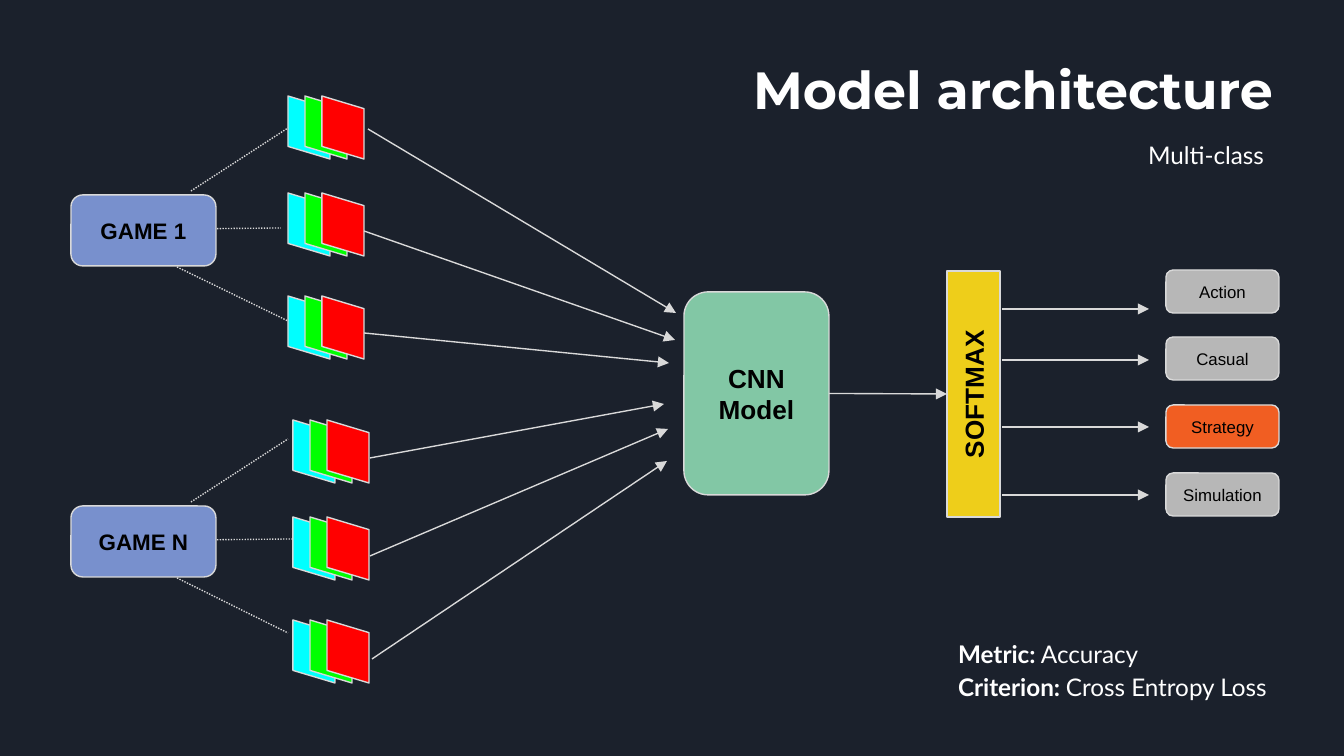
from lxml import etree
from pptx import Presentation
from pptx.dml.color import RGBColor
from pptx.enum.dml import MSO_LINE
from pptx.enum.shapes import MSO_CONNECTOR, MSO_SHAPE
from pptx.enum.text import MSO_ANCHOR, PP_ALIGN
from pptx.oxml.ns import qn
from pptx.util import Inches, Pt

EMU_PER_PX = 914400 / 134.4

COLORS = {
    "background": "1B212C", "line": "D9D9D9", "dark": "000000", "light": "FFFFFF",
    "cyan": "00FFFF", "green": "00FF00", "red": "FF0000", "game": "7890CD",
    "cnn": "82C7A5", "softmax": "EECE1A", "class": "B7B7B7", "chosen": "F15E22",
}

# Each game: label, box top, left of its frames, tops of its frames, dotted lines
GAMES = [
    ("GAME 1", 195, 288, (96, 193, 296),
     [(191, 191, 288, 128), (177, 267, 288, 321), (184, 229, 281, 228)]),
    ("GAME N", 506, 293, (420, 517, 620),
     [(191, 502, 288, 439), (177, 578, 288, 633), (195, 540, 292, 539)]),
]
FRAME_COLORS = ("cyan", "green", "red")
FRAME_STEP, FRAME_WIDTH, FRAME_HEIGHT = 17, 42, 63

FRAME_ARROWS = [
    (368, 129, 676, 313), (364, 231, 675, 340), (364, 333, 669, 363),
    (370, 458, 664, 404), (372, 659, 667, 461), (370, 556, 668, 429),
]
CNN_BOX = (684, 292, 145, 203)
SOFTMAX_BOX = (947, 271, 53, 246)

CLASSES = [("Action", "class"), ("Casual", "class"),
           ("Strategy", "chosen"), ("Simulation", "class")]
CLASS_TOP, CLASS_SPAN = 270, 203
CLASS_ARROW_YS = (309, 360, 427, 495)

# Each text box: box, alignment, lines of (text, bold), font, size, line spacing
TEXTS = [
    ((251, 44, 1035, 134), PP_ALIGN.RIGHT,
     [[("Model architecture", True)]], "Montserrat", 28, 1.0),
    ((669, 122, 608, 56), PP_ALIGN.RIGHT,
     [[("Multi-class", False)]], "Lato", 13, 1.15),
    ((945, 621, 351, 90), PP_ALIGN.LEFT,
     [[("Metric:", True), (" Accuracy", False)],
      [("Criterion: ", True), ("Cross Entropy Loss", False)]], "Lato", 13, 1.15),
]


def px(value):
    return round(value * EMU_PER_PX)


def rgb(name):
    return RGBColor.from_string(COLORS[name])


def style_font(font, name, size, color, bold=None):
    font.name, font.size, font.bold = name, Pt(size), bold
    font.color.rgb = rgb(color)


def prepare_frame(frame):
    frame.word_wrap = True
    frame.margin_left = frame.margin_right = Inches(0.1)
    frame.margin_top = frame.margin_bottom = Inches(0.1)


def add_box(kind, box, color, lines=(), size=9, bold=False, upright=False):
    """Add an outlined shape that covers box; upright turns it by 270 degrees."""
    left, top, width, height = box
    if upright:
        left, top = left + (width - height) / 2, top + (height - width) / 2
        width, height = height, width
    shape = slide.shapes.add_shape(kind, px(left), px(top), px(width), px(height))
    shape.rotation = 270 if upright else 0
    shape.shadow.inherit = False
    shape.fill.solid()
    shape.fill.fore_color.rgb = rgb(color)
    shape.line.color.rgb = rgb("line")
    shape.line.width = Pt(0.75)
    frame = shape.text_frame
    prepare_frame(frame)
    frame.vertical_anchor = MSO_ANCHOR.MIDDLE
    for index, line in enumerate(lines):
        paragraph = frame.add_paragraph() if index else frame.paragraphs[0]
        paragraph.text = line
        paragraph.alignment = PP_ALIGN.CENTER
        style_font(paragraph.font, "Arial", size, "dark", bold)
    return shape


def add_line(x1, y1, x2, y2, dotted=False):
    """Add a dotted line, or a solid one with an arrowhead at its end."""
    line = slide.shapes.add_connector(
        MSO_CONNECTOR.STRAIGHT, px(x1), px(y1), px(x2), px(y2))
    line.line.color.rgb = rgb("line")
    line.line.width = Pt(0.75)
    if dotted:
        line.line.dash_style = MSO_LINE.ROUND_DOT
        line.line.dash_style = MSO_LINE.ROUND_DOT
    else:
        etree.SubElement(line.line._get_or_add_ln(), qn("a:tailEnd"), type="triangle")
    etree.SubElement(line._element.spPr, qn("a:effectLst"))
    return line


def add_text(box, alignment, lines, font, size, spacing):
    text_box = slide.shapes.add_textbox(*map(px, box))
    prepare_frame(text_box.text_frame)
    paragraph = text_box.text_frame.paragraphs[0]
    paragraph.alignment = alignment
    paragraph.line_spacing = spacing
    style_font(paragraph.font, font, size, "light")
    for index, line in enumerate(lines):
        if index:
            paragraph.add_line_break()
        for text, bold in line:
            run = paragraph.add_run()
            run.text = text
            style_font(run.font, font, size, "light", bold)


presentation = Presentation()
presentation.slide_width, presentation.slide_height = px(1344), px(756)
slide = presentation.slides.add_slide(presentation.slide_layouts[6])
slide.background.fill.solid()
slide.background.fill.fore_color.rgb = rgb("background")

for label, game_top, frame_left, frame_tops, dotted_lines in GAMES:
    for frame_top in frame_tops:
        for index, color in enumerate(FRAME_COLORS):
            add_box(MSO_SHAPE.FLOWCHART_DATA,
                    (frame_left + index * FRAME_STEP, frame_top, FRAME_WIDTH, FRAME_HEIGHT),
                    color, upright=True)
    for ends in dotted_lines:
        add_line(*ends, dotted=True)
    add_box(MSO_SHAPE.ROUNDED_RECTANGLE, (71, game_top, 145, 71), "game",
            [label], 12, True)

cnn = add_box(MSO_SHAPE.ROUNDED_RECTANGLE, CNN_BOX, "cnn", ["CNN", "Model"], 14, True)
for ends in FRAME_ARROWS:
    add_line(*ends)

softmax = add_box(MSO_SHAPE.RECTANGLE, SOFTMAX_BOX, "softmax", ["SOFTMAX"], 14, True,
                  upright=True)
link = add_line(829, 394, 947, 394)
link.begin_connect(cnn, 3)
link.end_connect(softmax, 0)
# The turned box has its top side on the left, so the end is placed there
link.end_x, link.end_y = px(947), px(394)

for index, ((label, color), arrow_y) in enumerate(zip(CLASSES, CLASS_ARROW_YS)):
    top = CLASS_TOP + index * CLASS_SPAN // (len(CLASSES) - 1)
    add_box(MSO_SHAPE.ROUNDED_RECTANGLE, (1166, top, 113, 43), color, [label])
    add_line(1002, arrow_y, 1149, arrow_y)

for text in TEXTS:
    add_text(*text)

presentation.save("out.pptx")
